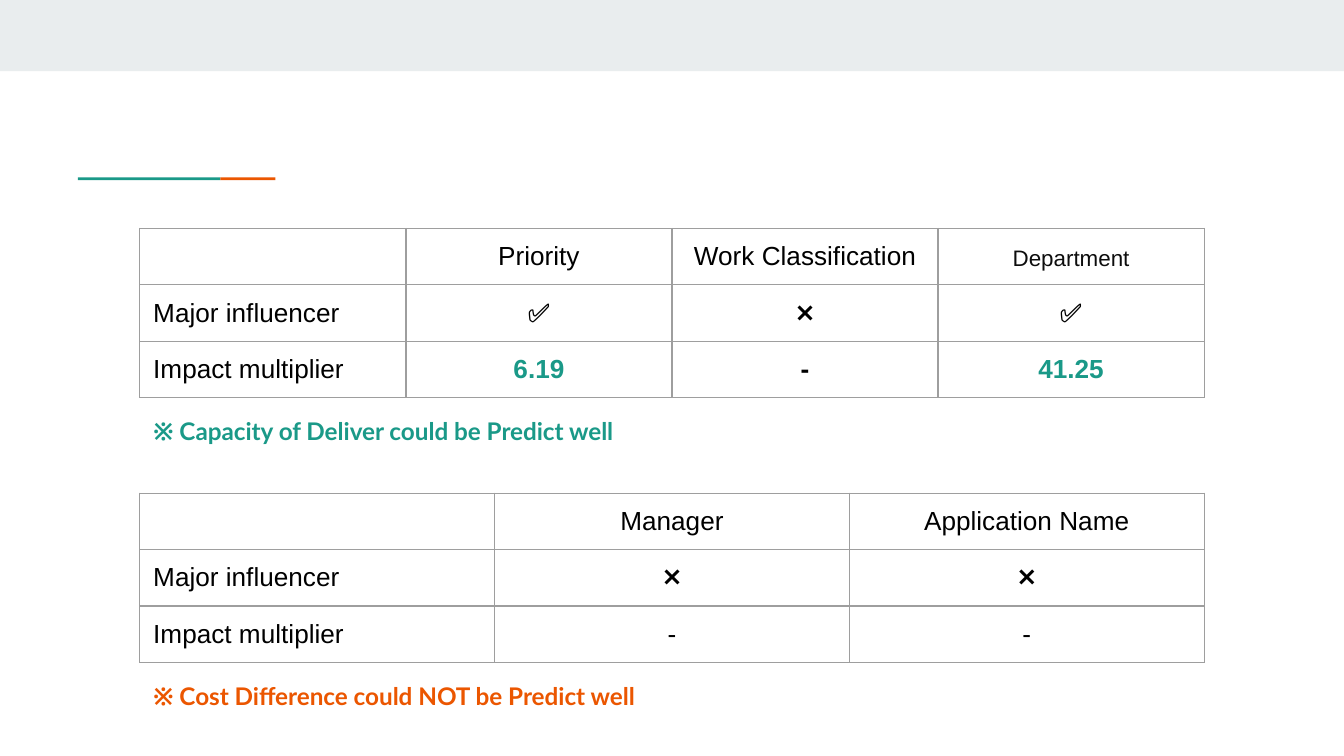
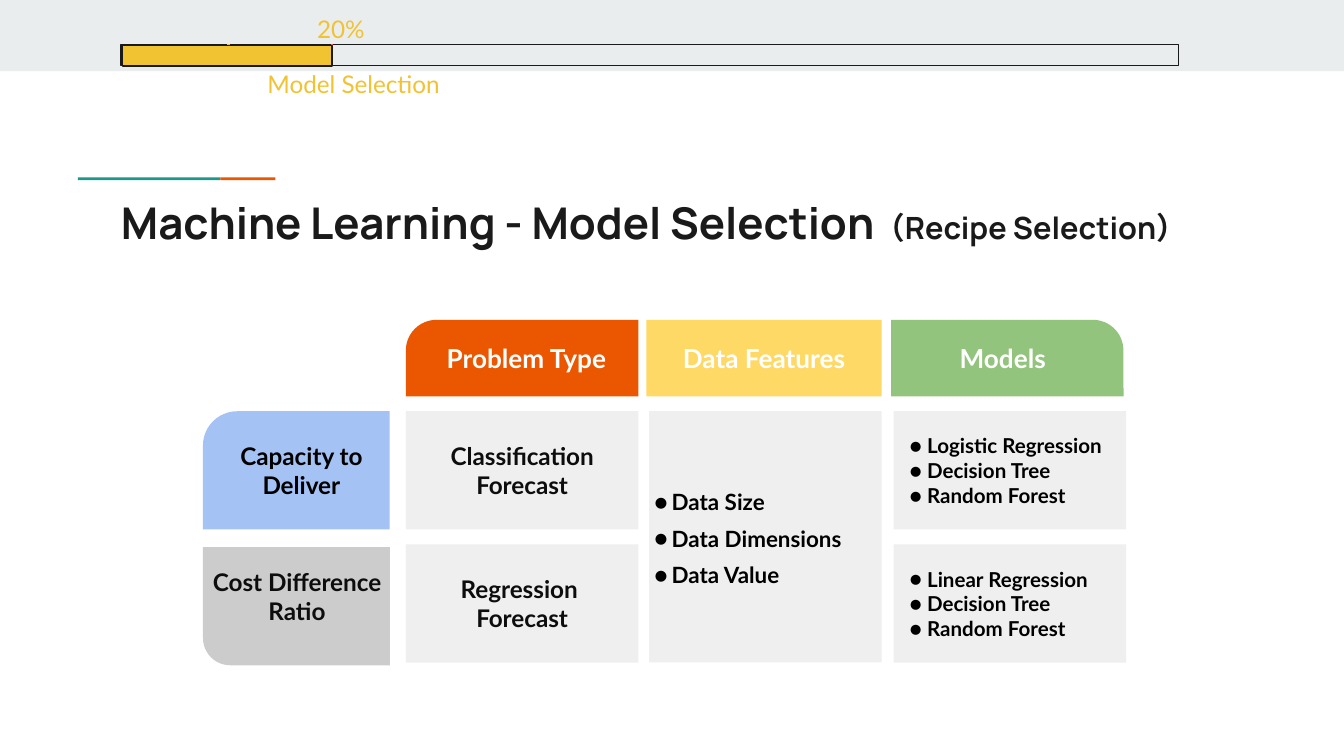
from lxml.etree import SubElement
from pptx import Presentation
from pptx.dml.color import RGBColor
from pptx.enum.shapes import MSO_CONNECTOR, MSO_SHAPE
from pptx.enum.text import MSO_ANCHOR, MSO_AUTO_SIZE, PP_ALIGN
from pptx.oxml.ns import qn
from pptx.util import Inches, Pt

HUES = {
    "band": "E9EDEE", "teal": "1A9988", "orange": "EB5600", "ink": "1A1A1A",
    "black": "000000", "dark": "0D0D0D", "white": "FFFFFF", "grid": "9E9E9E",
    "sun": "FFD966", "green": "93C47D", "blue": "A4C2F4", "grey": "CCCCCC",
    "pale": "EFEFEF", "gold": "F1C232", "red": "E06666",
}
RECT, ROUND = MSO_SHAPE.RECTANGLE, MSO_SHAPE.ROUND_1_RECTANGLE
LEFT, MID = PP_ALIGN.LEFT, PP_ALIGN.CENTER
TICK, CROSS = "✅", "❌"


def tint(name):
    return RGBColor.from_string(HUES[name])


def add_run(para, text, size=13, hue="black", font="Lato", bold=True):
    run = para.add_run()
    run.text = text
    run.font.size = Pt(size)
    run.font.name = font
    run.font.bold = bold
    run.font.color.rgb = tint(hue)


def write(frame, lines, align=LEFT, gap=0, lead=1.0, dents=None, dot=False, **look):
    for i, text in enumerate(lines):
        para = frame.add_paragraph() if i else frame.paragraphs[0]
        para.alignment = align
        para.line_spacing = lead
        para.space_before = Pt(gap if i else 0)
        props = para._p.get_or_add_pPr()
        left, hang = (0.15, -0.13) if dot else (dents[i] if dents else 0, 0)
        props.set("marL", str(Inches(left)))
        props.set("indent", str(Inches(hang)))
        if dot:
            paint = SubElement(props, qn("a:buClr"))
            SubElement(paint, qn("a:srgbClr"), val=HUES["black"])
            SubElement(props, qn("a:buFont"), typeface="Lato")
            SubElement(props, qn("a:buChar"), char="●")
        else:
            SubElement(props, qn("a:buNone"))
        add_run(para, text, **look)


class Deck:
    def __init__(self):
        self.prs = Presentation()
        self.prs.slide_width = Inches(10)
        self.prs.slide_height = Inches(10) * 9 // 16
        self.slide = None

    def page(self, layout):
        self.slide = self.prs.slides.add_slide(self.prs.slide_layouts[layout])

    def base(self):
        parts = [
            self.shape((0, 0, 10, 0.53), "band"),
            self.shape((0.58, 1.32, 1.06, 0.02), "teal"),
            self.shape((1.64, 1.32, 0.41, 0.02), "orange"),
        ]
        tree = self.prs.slide_master.shapes._spTree
        for i, part in enumerate(parts):
            part._element.nvSpPr.cNvPr.set("id", str(90 + i))
            tree.insert(2 + i, part._element)

    def fit(self, shape, anchor):
        frame = shape.text_frame
        frame.word_wrap = True
        frame.auto_size = MSO_AUTO_SIZE.NONE
        frame.vertical_anchor = anchor
        frame.margin_left = frame.margin_right = Inches(0.1)
        frame.margin_top = frame.margin_bottom = Inches(0.1)
        return frame

    def shape(self, at, fill, lines=(), kind=RECT, edge=None, adj=None,
              flip=False, turn=0, **look):
        shape = self.slide.shapes.add_shape(kind, *map(Inches, at))
        shape.shadow.inherit = False
        shape.fill.solid()
        shape.fill.fore_color.rgb = tint(fill)
        if edge:
            shape.line.color.rgb = tint(edge)
            shape.line.width = Pt(0.75)
        else:
            shape.line.fill.background()
        if adj is not None:
            shape.adjustments[0] = adj
        if flip:
            shape._element.spPr.xfrm.set("flipH", "1")
        shape.rotation = turn
        if lines:
            write(self.fit(shape, MSO_ANCHOR.MIDDLE), lines, **look)
        return shape

    def text(self, at, lines, anchor=MSO_ANCHOR.TOP, **look):
        box = self.slide.shapes.add_textbox(*map(Inches, at))
        write(self.fit(box, anchor), lines, **look)

    def holder(self, slot, at, lines, **look):
        box = self.slide.placeholders[slot]
        box.left, box.top, box.width, box.height = map(Inches, at)
        frame = self.fit(box, MSO_ANCHOR.TOP)
        write(frame, lines, **look)
        return frame

    def line(self, x, top, end, hue):
        line = self.slide.shapes.add_connector(
            MSO_CONNECTOR.STRAIGHT, Inches(x), Inches(top), Inches(x), Inches(end))
        line.line.color.rgb = tint(hue)
        line.line.width = Pt(1.5)
        SubElement(line._element.spPr, qn("a:effectLst"))

    def border(self, cell):
        props = cell._tc.get_or_add_tcPr()
        for side in "LRTB":
            edge = SubElement(props, qn("a:ln" + side), w=str(Pt(0.75)))
            fill = SubElement(edge, qn("a:solidFill"))
            SubElement(fill, qn("a:srgbClr"), val=HUES["grid"])

    def table(self, top, rows, looks):
        count, wide, high = len(rows[0]), 7.92, 0.42
        table = self.slide.shapes.add_table(
            len(rows), count, Inches(1.04), Inches(top),
            Inches(wide), Inches(high * len(rows))).table
        table.first_row = table.horz_banding = False
        for col in table.columns:
            col.width = Inches(wide / count)
        for r, row in enumerate(rows):
            table.rows[r].height = Inches(high)
            for c, text in enumerate(row):
                cell = table.cell(r, c)
                pad = Inches(0.1 if text else 0)
                cell.margin_left = cell.margin_right = Inches(0.1)
                cell.margin_top = cell.margin_bottom = pad
                self.border(cell)
                cell.fill.background()
                if text:
                    look = {"size": 14, "font": "Arial", "bold": False}
                    look.update(looks.get(text, {}))
                    write(cell.text_frame, [text], align=MID if c else LEFT, **look)


def results(deck):
    deck.page(6)
    deck.base()
    strong = {"hue": "teal", "bold": True}
    deck.table(1.7, [
        ["", "Priority", "Work Classification", "Department"],
        ["Major influencer", TICK, CROSS, TICK],
        ["Impact multiplier", "6.19", "-", "41.25"],
    ], {"Department": {"size": 12, "hue": "dark", "lead": 1.15},
        "6.19": strong, "41.25": strong, "-": {"bold": True}})
    deck.table(3.67, [
        ["", "Manager", "Application Name"],
        ["Major influencer", CROSS, CROSS],
        ["Impact multiplier", "-", "-"],
    ], {})
    for top, note, hue in (
            (3, "※ Capacity of Deliver could be Predict well", "teal"),
            (4.97, "※ Cost Difference could NOT be Predict well", "orange")):
        deck.text((1.04, top, 4.08, 0.42), [note], hue=hue)


def models(deck):
    deck.page(1)
    title = deck.holder(0, (0.8, 1.36, 9.15, 0.59),
                        ["Machine Learning - Model Selection"],
                        size=23.4, hue="ink", font="Manrope")
    add_run(title.paragraphs[0], "（Recipe Selection）",
            size=16.4, hue="ink", font="Manrope")
    deck.holder(1, (0, -0.03, 9.26, 1.36), ["20%", "Model Selection"],
                dents=(2.26, 1.89), gap=12, lead=1.15, hue="gold", bold=False)

    deck.shape((0.9, 0.33, 7.87, 0.16), "band", edge="ink")
    for x, hue in ((1.7, "gold"), (2.47, "red")):
        deck.line(x, 0.33, 0.48, hue)
    deck.shape((0.91, 0.34, 1.56, 0.15), "gold", edge="ink")

    head = {"align": MID, "size": 14, "hue": "white"}
    bend = {"kind": ROUND, "adj": 0.4}
    deck.shape((3.02, 2.38, 1.73, 0.57), "orange", ["Problem Type"],
               flip=True, **bend, **head)
    deck.shape((4.81, 2.38, 1.75, 0.57), "sun", ["Data Features"], **head)
    deck.shape((6.63, 2.38, 1.73, 0.57), "green", ["Models"], **bend, **head)

    deck.shape((1.51, 3.06, 1.39, 0.88), "blue", ["Capacity to Deliver"],
               kind=ROUND, adj=0.29, flip=True, align=MID)
    deck.shape((1.51, 4.07, 1.39, 0.88), "grey", kind=ROUND, adj=0.23, turn=180)
    deck.text((1.41, 4.12, 1.6, 0.88), ["Cost Difference Ratio"],
              align=MID, hue="dark")

    for top, kind, first in (
            (3.06, ["Classification Forecast"], "Logistic Regression"),
            (4.05, ["Regression ", "Forecast"], "Linear Regression")):
        deck.shape((3.02, top, 1.73, 0.88), "pale", kind, align=MID, hue="dark")
        deck.shape((6.65, top, 1.73, 0.88), "pale",
                   [first, "Decision Tree", "Random Forest"], dot=True, size=11)
    deck.shape((4.83, 3.06, 1.73, 1.87), "pale")
    deck.text((4.75, 3.07, 1.84, 1.87),
              ["Data Size", "Data Dimensions", "Data Value"],
              anchor=MSO_ANCHOR.MIDDLE, dot=True, gap=5, size=12)


def main():
    deck = Deck()
    results(deck)
    models(deck)
    deck.prs.save("out.pptx")


if __name__ == "__main__":
    main()
